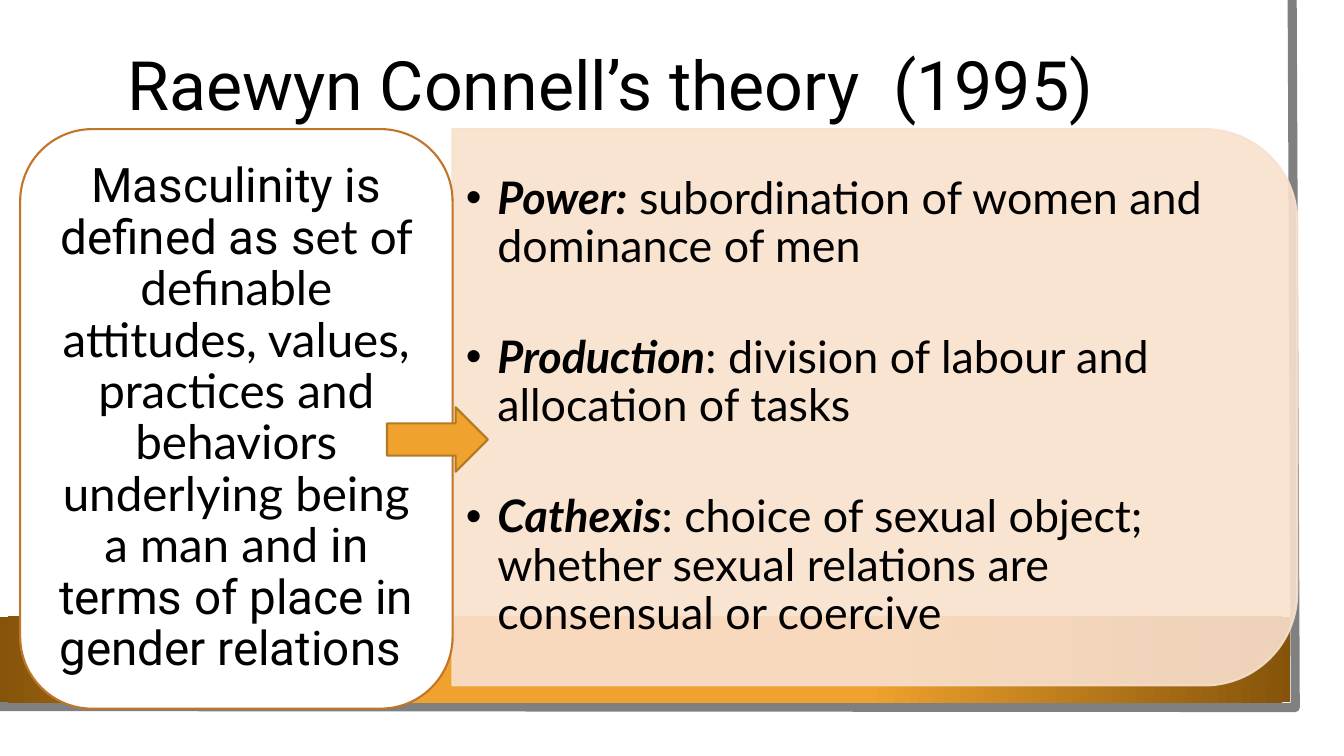
from dataclasses import dataclass
from lxml import etree
from pptx import Presentation
from pptx.dml.color import RGBColor
from pptx.enum.shapes import MSO_SHAPE
from pptx.enum.text import MSO_ANCHOR, MSO_AUTO_SIZE, PP_ALIGN
from pptx.oxml import parse_xml
from pptx.oxml.ns import nsdecls, qn
from pptx.util import Pt

COLORS = {
    "white": "FFFFFF",
    "black": "000000",
    "frame": "808080",
    "amber": "F0A22E",
    "brown": "85540A",
    "peach": "F9E0CD",
    "rust": "C17529",
    "arrow_edge": "B27822",
}


@dataclass
class Block:
    kind: MSO_SHAPE
    left: float
    top: float
    width: float
    height: float
    fill: str
    line: str | None = None
    rotation: float = 0
    alpha: int = 100


@dataclass
class Span:
    text: str
    font: str
    strong: bool = False


@dataclass
class TextArea:
    left: float
    top: float
    width: float
    height: float
    inset: float
    size: float
    paragraphs: list[list[Span]]
    bullets: bool = False
    gap: float = 0


PAGE = Block(MSO_SHAPE.RECTANGLE, 0, 0, 943.2, 523.4, "white")
BAND = Block(MSO_SHAPE.RECTANGLE, 0, 440.6, 921.6, 61.2, "amber")
PANELS = [
    Block(MSO_SHAPE.ROUND_2_SAME_RECTANGLE, 426.2, -10.8, 397.4, 603.4,
          "peach", "peach", 90, 90),
    Block(MSO_SHAPE.ROUNDED_RECTANGLE, 14.4, 92.2, 308.9, 414, "white", "rust"),
]
ARROW = Block(MSO_SHAPE.RIGHT_ARROW, 276.5, 290.9, 72, 46.1, "amber", "arrow_edge")

ASPECTS = [
    ("Power:", " subordination of women and dominance of men"),
    ("Production", ": division of labour and allocation of tasks"),
    ("Cathexis", ": choice of sexual object; whether sexual relations are "
                 "consensual or coercive"),
]
TEXTS = [
    TextArea(323.3, 111.6, 583.9, 358.6, 9.4, 32,
             [[Span(term, "Lato", True), Span(rest, "Lato")] for term, rest in ASPECTS],
             True, 44.6),
    TextArea(29.5, 107.3, 278.6, 383.8, 10, 34, [[
        Span("Masculinity is defined as s", "Roboto"),
        Span("et of definable attitudes, values, practices and behaviors "
             "underlying being a man and ", "Lato"),
        Span("in terms of place in gender relations ", "Roboto"),
    ]]),
]


def rgb(name: str) -> RGBColor:
    return RGBColor.from_string(COLORS[name])


def set_alpha(sp, percent: int) -> None:
    for clr in sp._element.spPr.iter(qn("a:srgbClr")):
        etree.SubElement(clr, qn("a:alpha")).set("val", str(percent * 1000))


def draw_block(s, block: Block):
    sp = s.shapes.add_shape(block.kind, Pt(block.left), Pt(block.top),
                            Pt(block.width), Pt(block.height))
    sp.shadow.inherit = False
    sp.rotation = block.rotation
    sp.fill.solid()
    sp.fill.fore_color.rgb = rgb(block.fill)
    if block.line:
        sp.line.color.rgb = rgb(block.line)
        sp.line.width = Pt(1.5)
    else:
        sp.line.fill.background()
    if block.alpha < 100:
        set_alpha(sp, block.alpha)
    return sp


def draw_frame(s) -> None:
    builder = s.shapes.build_freeform(Pt(923), 0)
    builder.add_line_segments([(Pt(925.2), Pt(505.4)), (Pt(-2.2), Pt(504.7))], close=False)
    sp = builder.convert_to_shape()
    sp.shadow.inherit = False
    sp.fill.background()
    sp.line.color.rgb = rgb("frame")
    sp.line.width = Pt(6.5)


def draw_band(s) -> None:
    sp = draw_block(s, BAND)
    sp.fill.gradient()
    for stop, position, color in zip(sp.fill.gradient_stops, (0.34, 1), ("amber", "brown")):
        stop.position = position
        stop.color.rgb = rgb(color)
    lin = sp._element.spPr.find(".//" + qn("a:lin"))
    lin.getparent().replace(lin, parse_xml(
        f'<a:path {nsdecls("a")} path="circle">'
        '<a:fillToRect l="50000" t="50000" r="50000" b="50000"/></a:path>'))


def format_run(r, font: str, size: float, strong: bool = False) -> None:
    r.font.name = font
    r.font.size = Pt(size)
    r.font.bold = r.font.italic = strong
    r.font.color.rgb = rgb("black")


def add_bullet(p) -> None:
    pPr = p._p.get_or_add_pPr()
    pPr.set("marL", str(Pt(22.5)))
    pPr.set("indent", str(Pt(-22.5)))
    etree.SubElement(pPr, qn("a:buFont")).set("typeface", "Arial")
    etree.SubElement(pPr, qn("a:buChar")).set("char", "•")


def draw_text(s, area: TextArea) -> None:
    tf = s.shapes.add_textbox(Pt(area.left), Pt(area.top),
                              Pt(area.width), Pt(area.height)).text_frame
    tf.word_wrap = True
    tf.vertical_anchor = MSO_ANCHOR.MIDDLE
    tf.margin_left = tf.margin_right = Pt(area.inset)
    tf.margin_top = tf.margin_bottom = Pt(5)
    for i, spans in enumerate(area.paragraphs):
        p = tf.add_paragraph() if i else tf.paragraphs[0]
        p.line_spacing = 0.9
        p.space_before = Pt(area.gap if i else 0)
        p.alignment = PP_ALIGN.LEFT if area.bullets else PP_ALIGN.CENTER
        if area.bullets:
            add_bullet(p)
        for span in spans:
            r = p.add_run()
            r.text = span.text
            format_run(r, span.font, area.size, span.strong)


def place_title(s) -> None:
    title = s.shapes.title
    s.shapes._spTree.append(title._element)
    title.left, title.top = Pt(14.4), Pt(33.8)
    title.width, title.height = Pt(843.1), Pt(58.3)
    tf = title.text_frame
    tf.text = "Raewyn Connell’s theory  (1995)"
    tf.word_wrap = True
    tf.auto_size = MSO_AUTO_SIZE.NONE
    tf.vertical_anchor = MSO_ANCHOR.MIDDLE
    p = tf.paragraphs[0]
    p.alignment = PP_ALIGN.CENTER
    p.line_spacing = 0.9
    format_run(p.runs[0], "Roboto", 48.6)


def main() -> None:
    prs = Presentation()
    prs.slide_width, prs.slide_height = Pt(960), Pt(540)
    s = prs.slides.add_slide(prs.slide_layouts[5])
    draw_block(s, PAGE)
    draw_frame(s)
    draw_band(s)
    place_title(s)
    for panel, area in zip(PANELS, TEXTS):
        draw_block(s, panel)
        draw_text(s, area)
    draw_block(s, ARROW)
    prs.save("out.pptx")


if __name__ == "__main__":
    main()
